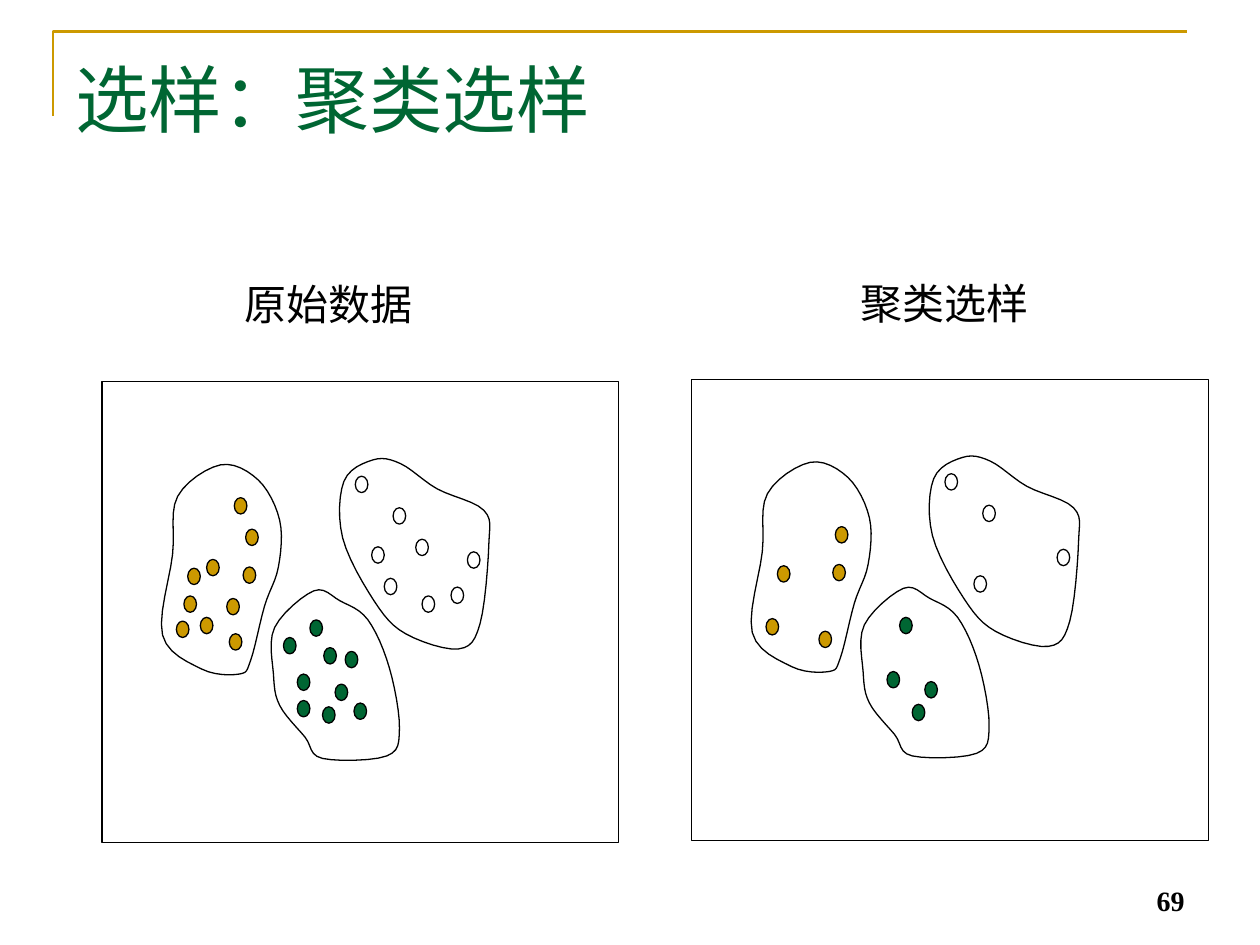
from pptx import Presentation
from pptx.dml.color import RGBColor
from pptx.enum.shapes import MSO_SHAPE
from pptx.enum.text import MSO_ANCHOR, PP_ALIGN
from pptx.util import Inches, Pt

RECTANGLE, DOT = MSO_SHAPE.RECTANGLE, MSO_SHAPE.FLOWCHART_CONNECTOR
TOP, BOTTOM = MSO_ANCHOR.TOP, MSO_ANCHOR.BOTTOM
LEFT, RIGHT = PP_ALIGN.LEFT, PP_ALIGN.RIGHT

COLUMNS, ROWS = 1000, 750
CELL = Inches(10) / COLUMNS
DOT_SIZE = (10, 13)
CURVE_STEPS = 6
SAMPLE_SHIFT = (468, -2)
COLORS = {"gold": "CC9900", "green": "006633", "white": "FFFFFF", "black": "000000"}

CLUSTERS = [
    {
        "color": "white",
        "sampled": [(312, 403), (305, 459), (371, 438), (282, 378)],
        "skipped": [(330, 428), (295, 434), (358, 466), (335, 473)],
        "outline": [(384, 405), (388, 432), (381, 495), (364, 515), (322, 503), (297, 477),
                    (272, 427), (273, 382), (296, 365), (318, 368), (347, 388)],
    },
    {
        "color": "green",
        "sampled": [(256, 561), (266, 543), (236, 535), (246, 492)],
        "skipped": [(225, 506), (274, 517), (236, 556), (257, 514), (281, 558)],
        "outline": [(218, 498), (249, 469), (270, 477), (292, 492), (309, 530), (317, 578),
                    (307, 600), (256, 602), (242, 585), (222, 560), (217, 535)],
    },
    {
        "color": "gold",
        "sampled": [(140, 493), (149, 451), (182, 503), (193, 450), (195, 420)],
        "skipped": [(159, 490), (146, 473), (180, 475), (164, 444), (186, 395)],
        "outline": [(210, 481), (199, 524), (190, 535), (160, 531), (129, 504), (137, 440),
                    (141, 394), (175, 369), (205, 381), (222, 413), (221, 450)],
    },
]


def grid(*cells):
    """Turn counts of grid cells into lengths."""
    return [round(cell * CELL) for cell in cells]


def style(shape, fill=None, line="black", weight=0.75):
    """Set the fill and line of a shape without a shadow."""
    shape.shadow.inherit = False
    if fill:
        shape.fill.solid()
        shape.fill.fore_color.rgb = RGBColor.from_string(COLORS[fill])
    else:
        shape.fill.background()
    shape.line.color.rgb = RGBColor.from_string(COLORS[line])
    shape.line.width = Pt(weight)


def add_text(page, text, place, size, color="black", bold=False, align=LEFT, anchor=TOP):
    """Add one line of text at a place on the grid."""
    frame = page.shapes.add_textbox(*grid(*place)).text_frame
    frame.word_wrap = True
    frame.vertical_anchor = anchor
    para = frame.paragraphs[0]
    para.alignment = align
    span = para.add_run()
    span.text = text
    span.font.name = "Times New Roman"
    span.font.size = Pt(size)
    span.font.bold = bold
    span.font.color.rgb = RGBColor.from_string(COLORS[color])


def add_outline(page, points, close=True, **look):
    """Draw an outline through points on the grid."""
    start, *others = [grid(*point) for point in points]
    builder = page.shapes.build_freeform(*start)
    builder.add_line_segments(others, close=close)
    style(builder.convert_to_shape(), **look)


def blend(before, start, end, after, t):
    """Give a point on the smooth curve between start and end."""
    return start + t / 2 * (
        end - before
        + t * (2 * before - 5 * start + 4 * end - after)
        + t * t * (3 * (start - end) + after - before)
    )


def smooth_loop(points):
    """Trace a closed smooth curve through the points."""
    count = len(points)
    traced = []
    for index in range(count):
        near = [points[(index + offset) % count] for offset in range(-1, 3)]
        for step in range(CURVE_STEPS):
            traced.append([blend(*axis, step / CURVE_STEPS) for axis in zip(*near)])
    return traced


def add_panel(page, shift=(0, 0), sampled_only=False):
    """Draw a framed panel with its clusters and dots."""
    def move(point):
        """Shift a point to this panel."""
        return point[0] + shift[0], point[1] + shift[1]

    frame = page.shapes.add_shape(RECTANGLE, *grid(*move((81, 303)), 410, 366))
    style(frame)
    for cluster in CLUSTERS:
        dots = cluster["sampled"] + ([] if sampled_only else cluster["skipped"])
        for dot in dots:
            style(page.shapes.add_shape(DOT, *grid(*move(dot), *DOT_SIZE)), cluster["color"])
        add_outline(page, [move(point) for point in smooth_loop(cluster["outline"])])


def main():
    """Build the slide on cluster sampling."""
    deck = Presentation()
    deck.slide_width, deck.slide_height = grid(COLUMNS, ROWS)
    page = deck.slides.add_slide(deck.slide_layouts[6])
    add_outline(page, [(42, 92), (42, 25), (942, 25)], close=False, line="gold", weight=1.5)
    add_text(page, "69", (717, 683, 233, 50), 16, bold=True, align=RIGHT, anchor=BOTTOM)
    add_text(page, "选样：聚类选样", (50, 38, 900, 93), 42, color="green")
    add_panel(page)
    add_panel(page, SAMPLE_SHIFT, sampled_only=True)
    add_text(page, "原始数据", (184, 216, 161, 50), 24)
    add_text(page, "聚类选样", (673, 215, 161, 50), 24)
    deck.save("out.pptx")


if __name__ == "__main__":
    main()
